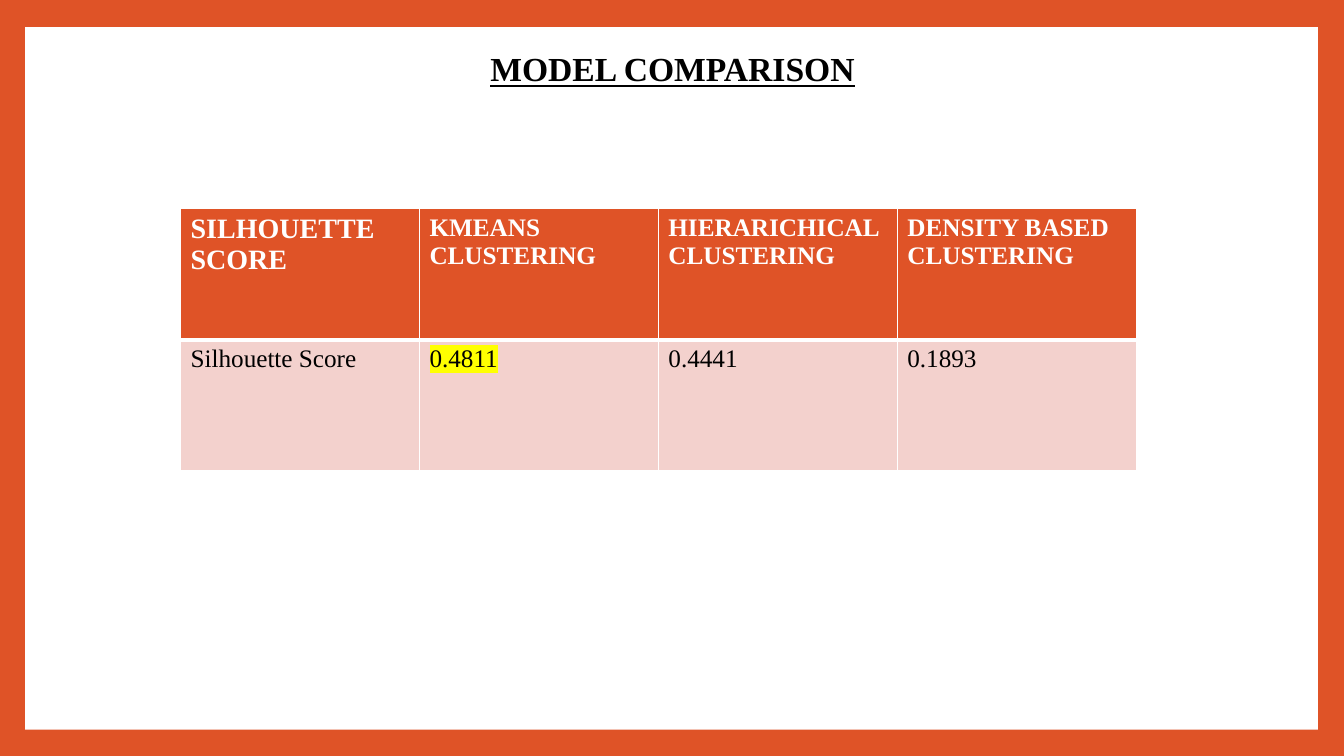
from dataclasses import dataclass

from lxml import etree
from pptx import Presentation
from pptx import util as u
from pptx.dml.color import RGBColor
from pptx.enum import shapes, text
from pptx.oxml import ns


@dataclass(frozen=True)
class Theme:
    font: str = "Times New Roman"
    accent: str = "DF5327"
    tint: str = "F3D1CD"
    white: str = "FFFFFF"
    black: str = "000000"
    marker: str = "FFFF00"
    title_size: int = 24
    lead_size: int = 20
    cell_size: int = 18
    thin_line: int = 1
    thick_line: int = 3


def color_element(tag, color):
    """Return a new DrawingML element that holds an RGB colour."""
    element = etree.Element(ns.qn(tag))
    etree.SubElement(element, ns.qn("a:srgbClr"), val=color)
    return element


class SlideBuilder:
    def __init__(self, slide, theme):
        self.slide = slide
        self.theme = theme

    def background(self, color):
        fill = self.slide.background.fill
        fill.solid()
        fill.fore_color.rgb = RGBColor.from_string(color)

    def panel(self, left, top, width, height, color):
        shape = self.slide.shapes.add_shape(
            shapes.MSO_SHAPE.RECTANGLE, *map(u.Inches, (left, top, width, height)))
        shape.shadow.inherit = False
        shape.fill.solid()
        shape.fill.fore_color.rgb = RGBColor.from_string(color)
        shape.line.fill.background()

    def add_words(self, paragraph, words, color, highlight=None, **font_format):
        run = paragraph.add_run()
        run.text = words
        run.font.color.rgb = RGBColor.from_string(color)
        if highlight:
            # The schema wants the highlight between the fill and the typeface.
            run._r.get_or_add_rPr().append(color_element("a:highlight", highlight))
        for name, value in {"name": self.theme.font, **font_format}.items():
            setattr(run.font, name, value)

    def title(self, words, left, top, width, height):
        box = self.slide.shapes.add_textbox(*map(u.Inches, (left, top, width, height)))
        frame = box.text_frame
        frame.word_wrap = True
        frame.auto_size = text.MSO_AUTO_SIZE.SHAPE_TO_FIT_TEXT
        paragraph = frame.paragraphs[0]
        paragraph.alignment = text.PP_ALIGN.CENTER
        self.add_words(paragraph, words, self.theme.black,
                       size=u.Pt(self.theme.title_size), bold=True, underline=True)

    def cell_borders(self, cell, widths):
        """Draw white borders; widths maps the sides L, R, T and B to points."""
        properties = cell._tc.get_or_add_tcPr()
        for index, (side, width) in enumerate(widths.items()):
            line = etree.Element(ns.qn(f"a:ln{side}"), w=str(u.Pt(width)))
            line.append(color_element("a:solidFill", self.theme.white))
            properties.insert(index, line)

    def table(self, rows, left, top, width, height, best):
        """Add a table with a header row; the cell at best (row, column) is highlighted."""
        theme = self.theme
        table = self.slide.shapes.add_table(
            len(rows), len(rows[0]), *map(u.Inches, (left, top, width, height))).table
        for row_index, row in enumerate(rows):
            header = row_index == 0
            widths = dict.fromkeys("LRTB", theme.thin_line)
            widths["B" if header else "T"] = theme.thick_line
            for column_index, words in enumerate(row):
                position = (row_index, column_index)
                cell = table.cell(*position)
                cell.fill.solid()
                cell.fill.fore_color.rgb = RGBColor.from_string(
                    theme.accent if header else theme.tint)
                self.cell_borders(cell, widths)
                size = theme.lead_size if position == (0, 0) else theme.cell_size
                frame = cell.text_frame
                for line_index, line in enumerate(words.split("\n")):
                    paragraph = frame.add_paragraph() if line_index else frame.paragraphs[0]
                    self.add_words(paragraph, line, theme.white if header else theme.black,
                                   theme.marker if position == best else None,
                                   size=u.Pt(size), bold=header)


def main():
    presentation = Presentation()
    presentation.slide_width = u.Inches(13.33)
    presentation.slide_height = u.Inches(7.5)
    theme = Theme()
    builder = SlideBuilder(
        presentation.slides.add_slide(presentation.slide_layouts[6]), theme)

    builder.background(theme.accent)
    builder.panel(0.25, 0.27, 12.82, 6.97, theme.white)
    builder.title("MODEL COMPARISON", 3.53, 0.43, 6.28, 0.5)
    scores = [
        ["SILHOUETTE SCORE", "KMEANS\nCLUSTERING",
         "HIERARICHICAL\nCLUSTERING", "DENSITY BASED\nCLUSTERING"],
        ["Silhouette Score", "0.4811", "0.4441", "0.1893"],
    ]
    builder.table(scores, 1.79, 2.07, 9.48, 2.6, best=(1, 1))
    presentation.save("out.pptx")


if __name__ == "__main__":
    main()
